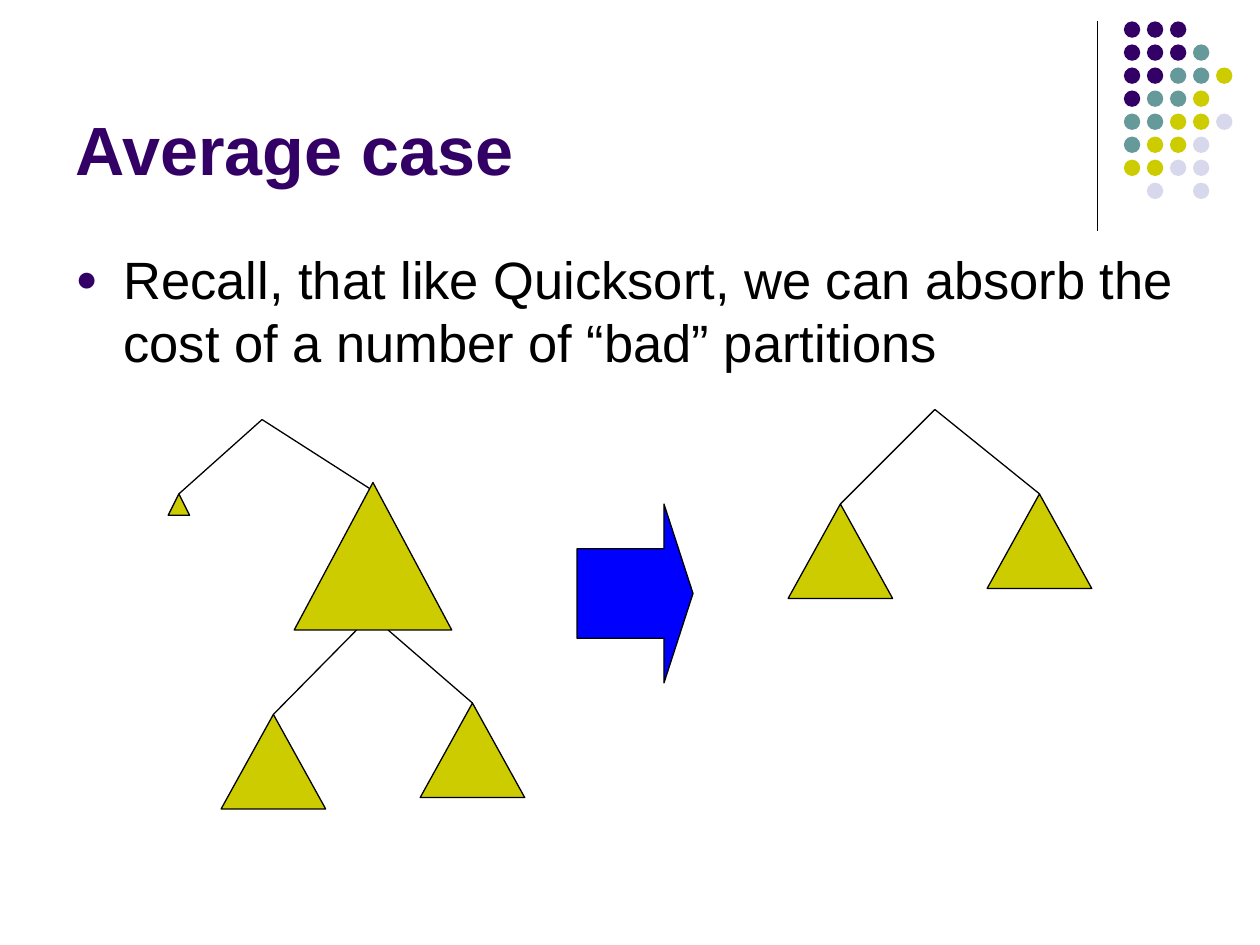
from lxml import etree
from pptx import Presentation
from pptx.dml.color import RGBColor
from pptx.enum import shapes, text
from pptx.oxml.ns import qn
from pptx.util import Inches, Pt

PURPLE, TEAL, OLIVE, LILAC = "330066", "669999", "CCCC00", "D8D8EC"
BLACK, BLUE = "000000", "0000FF"
DOT_COLOURS = {"P": PURPLE, "T": TEAL, "O": OLIVE, "L": LILAC}
DOT_ROWS = ["PPP", "PPPT", "PPTTO", "PTTO", "TTOOL", "TOOL", "OOLL", " L L"]
DOT_STEP = 1.28 / 7
LINE_WIDTH = 0.74


def rgb(colour):
    """Turn a hex string into a colour."""
    return RGBColor.from_string(colour)


def add_edge(s, start, end):
    """Draw a thin black line between two points."""
    c = s.shapes.add_connector(shapes.MSO_CONNECTOR.STRAIGHT,
                               *map(Inches, start + end))
    c.line.color.rgb = rgb(BLACK)
    c.line.width = Pt(LINE_WIDTH)
    etree.SubElement(c._element.spPr, qn("a:effectLst"))


def add_preset(s, kind, box, fill, outlined=True):
    """Draw a filled preset shape with an optional black outline."""
    sp = s.shapes.add_shape(kind, *map(Inches, box))
    sp.shadow.inherit = False
    sp.fill.solid()
    sp.fill.fore_color.rgb = rgb(fill)
    if outlined:
        sp.line.color.rgb = rgb(BLACK)
        sp.line.width = Pt(LINE_WIDTH)
    else:
        sp.line.fill.background()
    return sp


def add_subtree(s, apex, width, height):
    """Draw a triangle hanging from its apex."""
    x, y = apex
    add_preset(s, shapes.MSO_SHAPE.ISOSCELES_TRIANGLE,
               (x - width / 2, y, width, height), OLIVE)


def add_dots(s):
    """Draw the grid of coloured dots in the corner."""
    for row, codes in enumerate(DOT_ROWS):
        for col, code in enumerate(codes):
            if code in DOT_COLOURS:
                box = (8.92 + col * DOT_STEP, 0.17 + row * DOT_STEP, 0.13, 0.13)
                add_preset(s, shapes.MSO_SHAPE.OVAL, box,
                           DOT_COLOURS[code], outlined=False)


def fill_placeholder(sp, box, words, size, colour, anchor, bold=False):
    """Place a placeholder, write its text and return the paragraph."""
    sp.left, sp.top, sp.width, sp.height = map(Inches, box)
    tf = sp.text_frame
    tf.word_wrap = True
    tf.auto_size = text.MSO_AUTO_SIZE.NONE
    tf.vertical_anchor = anchor
    p = tf.paragraphs[0]
    p.alignment = text.PP_ALIGN.LEFT
    r = p.add_run()
    r.text = words
    r.font.name = "Arial"
    r.font.size = Pt(size)
    r.font.bold = bold
    r.font.color.rgb = rgb(colour)
    return p


def add_bullet(p, colour, percent, indent):
    """Give a paragraph a coloured round bullet and a hanging indent."""
    pPr = p._p.get_or_add_pPr()
    pPr.set("marL", str(Inches(indent)))
    pPr.set("indent", str(-Inches(indent)))
    clr = etree.SubElement(pPr, qn("a:buClr"))
    etree.SubElement(clr, qn("a:srgbClr"), val=colour)
    etree.SubElement(pPr, qn("a:buSzPct"), val=str(percent * 1000))
    etree.SubElement(pPr, qn("a:buFont"), typeface="Arial")
    etree.SubElement(pPr, qn("a:buChar"), char="\u25cf")


def add_text(s):
    """Write the title and the bulleted statement."""
    fill_placeholder(s.shapes.title, (0.5, 0.13, 8.25, 1.42), "Average case",
                     39, PURPLE, text.MSO_ANCHOR.BOTTOM, bold=True)
    body = s.placeholders[1]
    p = fill_placeholder(body, (0.5, 1.88, 9, 1.2),
                         "Recall, that like Quicksort, we can absorb the cost "
                         "of a number of \u201cbad\u201d partitions",
                         30, BLACK, text.MSO_ANCHOR.TOP)
    body.text_frame.margin_top = Inches(0.08)
    p.space_before = Pt(0)
    p.line_spacing = Pt(36)
    add_bullet(p, PURPLE, 70, 0.38)


def add_trees(s):
    """Draw the partition trees before and after absorbing a bad split."""
    edges = [((2.08, 3.33), (1.42, 3.92)), ((2.08, 3.33), (3, 3.92)),
             ((2.83, 5), (2.17, 5.67)), ((3.08, 5), (3.75, 5.58)),
             ((7.42, 3.25), (6.67, 4)), ((7.42, 3.25), (8.25, 3.92))]
    for start, end in edges:
        add_edge(s, start, end)
    add_subtree(s, (1.42, 3.92), 0.17, 0.17)
    add_subtree(s, (2.96, 3.83), 1.25, 1.17)
    for apex in [(2.17, 5.67), (3.75, 5.58), (6.67, 4), (8.25, 3.92)]:
        add_subtree(s, apex, 0.83, 0.75)
    arrow = add_preset(s, shapes.MSO_SHAPE.RIGHT_ARROW,
                       (4.58, 4, 0.92, 1.42), BLUE)
    arrow.adjustments[0] = 0.5
    arrow.adjustments[1] = 0.25


def main():
    """Build the slide and save it."""
    prs = Presentation()
    prs.slide_width, prs.slide_height = Inches(10), Inches(7.5)
    s = prs.slides.add_slide(prs.slide_layouts[1])
    add_edge(s, (8.71, 0.17), (8.71, 1.83))
    add_dots(s)
    add_text(s)
    add_trees(s)
    prs.save("out.pptx")


main()
